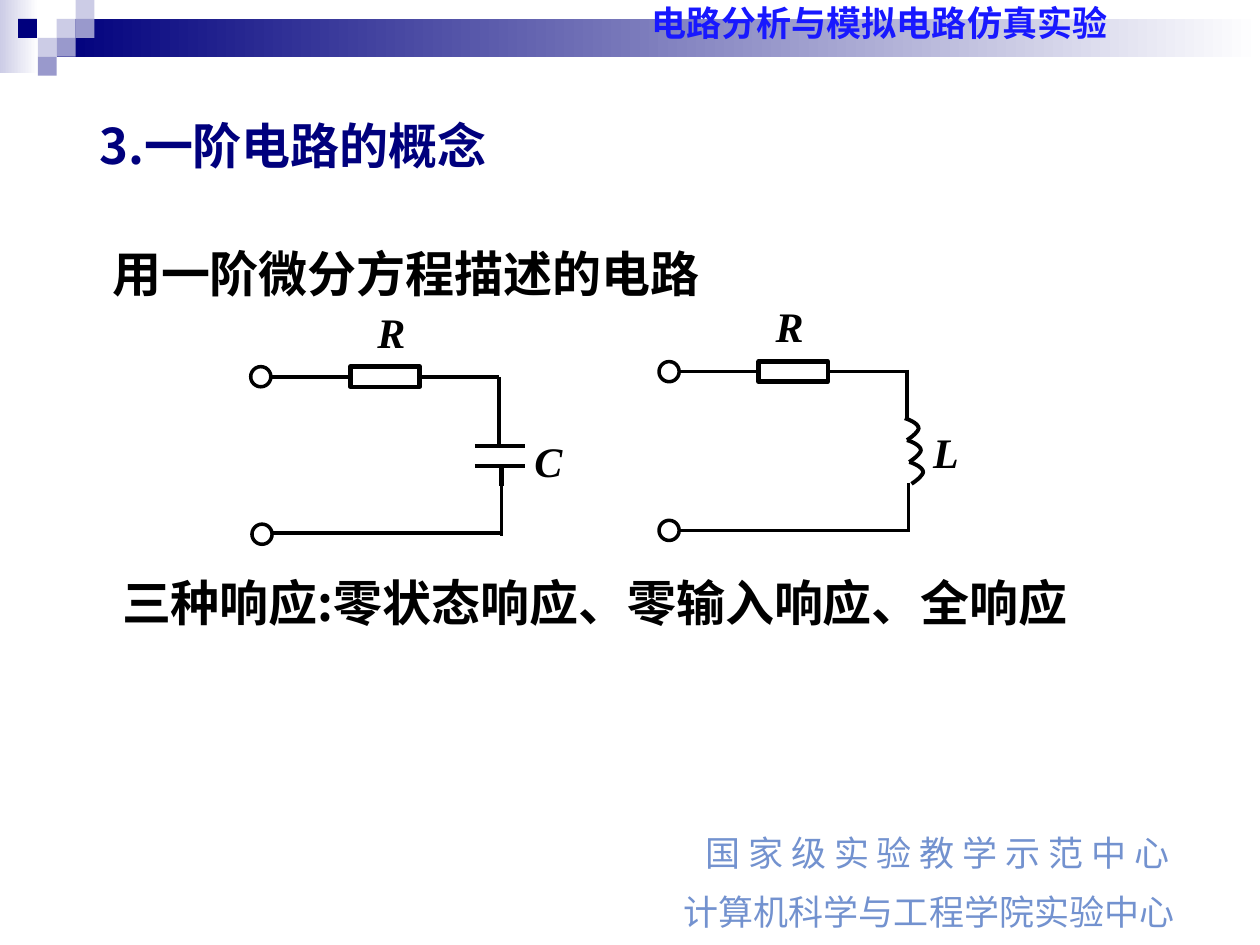
from dataclasses import dataclass

import pptx
import pptx.dml.color
import pptx.enum.shapes
import pptx.enum.text
import pptx.oxml
import pptx.oxml.ns
import pptx.util

Pt = pptx.util.Pt
Shapes = pptx.enum.shapes.MSO_SHAPE
Align = pptx.enum.text.PP_ALIGN
HAN_FONT = "Noto Sans CJK SC"
NAVY, LAVENDER, PERIWINKLE = "00007D", "CCCCE6", "9999CC"
CELL = 10.8
TERMINAL = 11.5
RESISTOR_START, RESISTOR_END, BRANCH_END = 56.9, 96.5, 141.8


@dataclass
class Box:
    left: float
    top: float
    width: float
    height: float


@dataclass
class Label:
    text: str
    box: Box
    size: float
    color: str
    font: str = HAN_FONT
    bold: bool = True
    italic: bool = False
    inset: float = 0
    align: Align = Align.LEFT


@dataclass
class Wire:
    x1: float
    y1: float
    x2: float
    y2: float
    weight: float = 2


@dataclass
class Square:
    left: float
    row: int
    color: str


def rgb(color: str) -> pptx.dml.color.RGBColor:
    return pptx.dml.color.RGBColor.from_string(color)


def place(shape, box: Box) -> None:
    shape.left, shape.top = Pt(box.left), Pt(box.top)
    shape.width, shape.height = Pt(box.width), Pt(box.height)


def write_text(shape, label: Label) -> None:
    place(shape, label.box)
    frame = shape.text_frame
    frame.text = label.text
    frame.word_wrap = True
    frame.auto_size = pptx.enum.text.MSO_AUTO_SIZE.NONE
    frame.vertical_anchor = pptx.enum.text.MSO_ANCHOR.MIDDLE
    frame.margin_left = Pt(label.inset)
    frame.margin_right = frame.margin_top = frame.margin_bottom = 0
    for paragraph in frame.paragraphs:
        paragraph.alignment = label.align
        for run in paragraph.runs:
            font = run.font
            font.name, font.size = label.font, Pt(label.size)
            font.bold, font.italic = label.bold, label.italic
            font.color.rgb = rgb(label.color)
            east_asian = pptx.oxml.parse_xml(
                f'<a:ea {pptx.oxml.ns.nsdecls("a")} typeface="{HAN_FONT}"/>')
            font._element.find(pptx.oxml.ns.qn("a:latin")).addnext(east_asian)


def add_label(slide, label: Label):
    shape = slide.shapes.add_textbox(0, 0, 0, 0)
    write_text(shape, label)
    return shape


def add_filled(slide, box: Box, color: str, fade: bool = False) -> None:
    shape = slide.shapes.add_shape(Shapes.RECTANGLE, 0, 0, 0, 0)
    place(shape, box)
    shape.shadow.inherit = False
    shape.line.fill.background()
    if fade:
        shape.fill.gradient()
        shape.fill.gradient_angle = 0
        for stop, stop_color, position in zip(
                shape.fill.gradient_stops, (color, "FFFFFF"), (0, 1)):
            stop.color.rgb = rgb(stop_color)
            stop.position = position
    else:
        shape.fill.solid()
        shape.fill.fore_color.rgb = rgb(color)


def outline(shape, weight: float) -> None:
    shape.shadow.inherit = False
    shape.fill.background()
    shape.line.color.rgb = rgb("000000")
    shape.line.width = Pt(weight)


def add_outlined(slide, kind: Shapes, box: Box, weight: float) -> None:
    shape = slide.shapes.add_shape(kind, 0, 0, 0, 0)
    place(shape, box)
    outline(shape, weight)


def add_wire(slide, wire: Wire) -> None:
    connector = slide.shapes.add_connector(
        pptx.enum.shapes.MSO_CONNECTOR.STRAIGHT,
        Pt(wire.x1), Pt(wire.y1), Pt(wire.x2), Pt(wire.y2))
    connector.line.color.rgb = rgb("000000")
    connector.line.width = Pt(wire.weight)
    connector._element.spPr.append(
        pptx.oxml.parse_xml(f'<a:effectLst {pptx.oxml.ns.nsdecls("a")}/>'))


def add_terminal(slide, left: float, center: float) -> None:
    box = Box(left, center - TERMINAL / 2, TERMINAL, TERMINAL)
    add_outlined(slide, Shapes.OVAL, box, 2)


def add_resistor_branch(slide, left: float, y: float) -> None:
    add_terminal(slide, left, y)
    add_wire(slide, Wire(left + TERMINAL, y, left + RESISTOR_START, y))
    box = Box(left + RESISTOR_START, y - 5.75, RESISTOR_END - RESISTOR_START, 11.5)
    add_outlined(slide, Shapes.RECTANGLE, box, 2.5)
    add_wire(slide, Wire(left + RESISTOR_END, y, left + BRANCH_END, y))


def bezier(points: list[tuple[float, float]], t: float) -> tuple[float, float]:
    weights = ((1 - t) ** 3, 3 * t * (1 - t) ** 2, 3 * t * t * (1 - t), t ** 3)
    x, y = (sum(w * p[axis] for w, p in zip(weights, points)) for axis in (0, 1))
    return x, y


def add_coil(slide, left: float, top: float) -> None:
    upper = [(0, 0), (4.3, 1.4), (7.9, 3.6), (7.9, 5.8)]
    lower = [(7.9, 5.8), (7.9, 7.2), (5, 10.1), (1.3, 12.5)]
    turn = [bezier(half, step / 8) for half in (upper, lower) for step in range(1, 9)]
    builder = slide.shapes.build_freeform(Pt(left), Pt(top))
    builder.add_line_segments([(Pt(left + x), Pt(top + y)) for x, y in turn], close=False)
    outline(builder.convert_to_shape(), 2.25)


def main() -> None:
    presentation = pptx.Presentation()
    presentation.slide_width, presentation.slide_height = Pt(720), Pt(540)
    slide = presentation.slides.add_slide(presentation.slide_layouts[5])

    add_filled(slide, Box(0, 0, 22, 41.8), LAVENDER, fade=True)
    add_filled(slide, Box(3 * CELL, CELL, 720 - 3 * CELL, 2 * CELL), NAVY, fade=True)
    for square in (
        Square(3 * CELL, 1, LAVENDER), Square(4 * CELL, 0, LAVENDER),
        Square(4 * CELL, 1, PERIWINKLE), Square(2 * CELL, 2, LAVENDER),
        Square(10.3, 1, NAVY), Square(3 * CELL, 2, PERIWINKLE),
        Square(2 * CELL, 3, PERIWINKLE),
    ):
        add_filled(slide, Box(square.left, square.row * CELL, CELL, CELL), square.color)

    write_text(slide.shapes.title, Label(
        "3.一阶电路的概念", Box(43.2, 62.6, 351.4, 41), 28, NAVY, inset=13.5))
    for label in (
        Label("电路分析与模拟电路仿真实验", Box(370.8, 0, 287.3, 26), 20, "1818FF",
              "Arial", inset=1.5),
        Label("用一阶微分方程描述的电路", Box(64.1, 135.4, 522, 41), 28, "000000", "Arial"),
        Label("三种响应:零状态响应、零输入响应、全响应", Box(69.8, 323.3, 570, 41), 28, "000000"),
    ):
        add_label(slide, label)

    affiliation = add_label(slide, Label(
        "国 家 级 实 验 教 学 示 范 中 心\n计算机科学与工程学院实验中心",
        Box(351.4, 465.5, 368.6, 67.7), 20, "7392CF", bold=False, align=Align.CENTER))
    for paragraph in affiliation.text_frame.paragraphs:
        paragraph.line_spacing = Pt(33.7)
    paragraph._p.get_or_add_pPr().set("marR", str(Pt(9.5)))

    add_resistor_branch(slide, 143.3, 215.3)
    add_resistor_branch(slide, 376.6, 212.4)
    add_terminal(slide, 144, 305.3)
    add_terminal(slide, 376.6, 303.1)
    for wire in (
        Wire(271.4, 254.9, 300.2, 254.9, 2.5), Wire(271.4, 266.4, 300.2, 266.4, 2.5),
        Wire(285.1, 244.1, 285.1, 254.9, 2.5), Wire(286.6, 266.4, 286.6, 277.9, 2.5),
        Wire(285.1, 215.3, 285.1, 244.1), Wire(286.6, 277.9, 286.6, 306),
        Wire(155.5, 304.6, 285.8, 304.6),
        Wire(518.4, 211.4, 518.4, 239.8), Wire(519.1, 275.8, 519.1, 303.8),
        Wire(388.1, 303.1, 518.4, 303.1),
    ):
        add_wire(slide, wire)
    for turn in range(3):
        add_coil(slide, 517 + 1.3 * turn, 239 + 12.5 * turn)

    for symbol, left, top in (
        ("R", 200.2, 175), ("R", 427.7, 172), ("C", 290.9, 249), ("L", 517.7, 244),
    ):
        inset = 15.5 if symbol != "C" else 14.5
        add_label(slide, Label(symbol, Box(left, top, 45.4, 28.8), 24, "000000",
                               "Times New Roman", italic=True, inset=inset))

    presentation.save("out.pptx")


if __name__ == "__main__":
    main()
